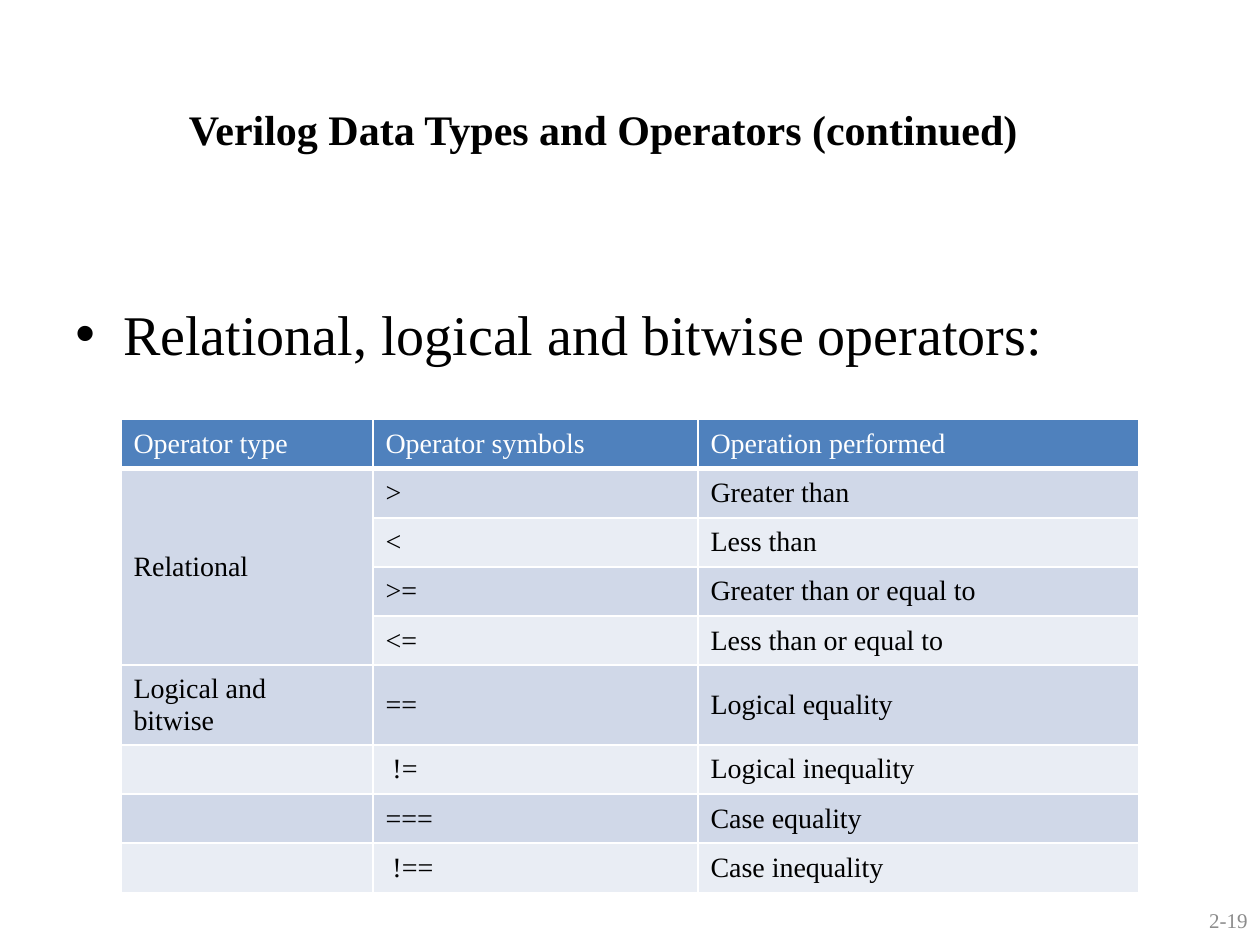
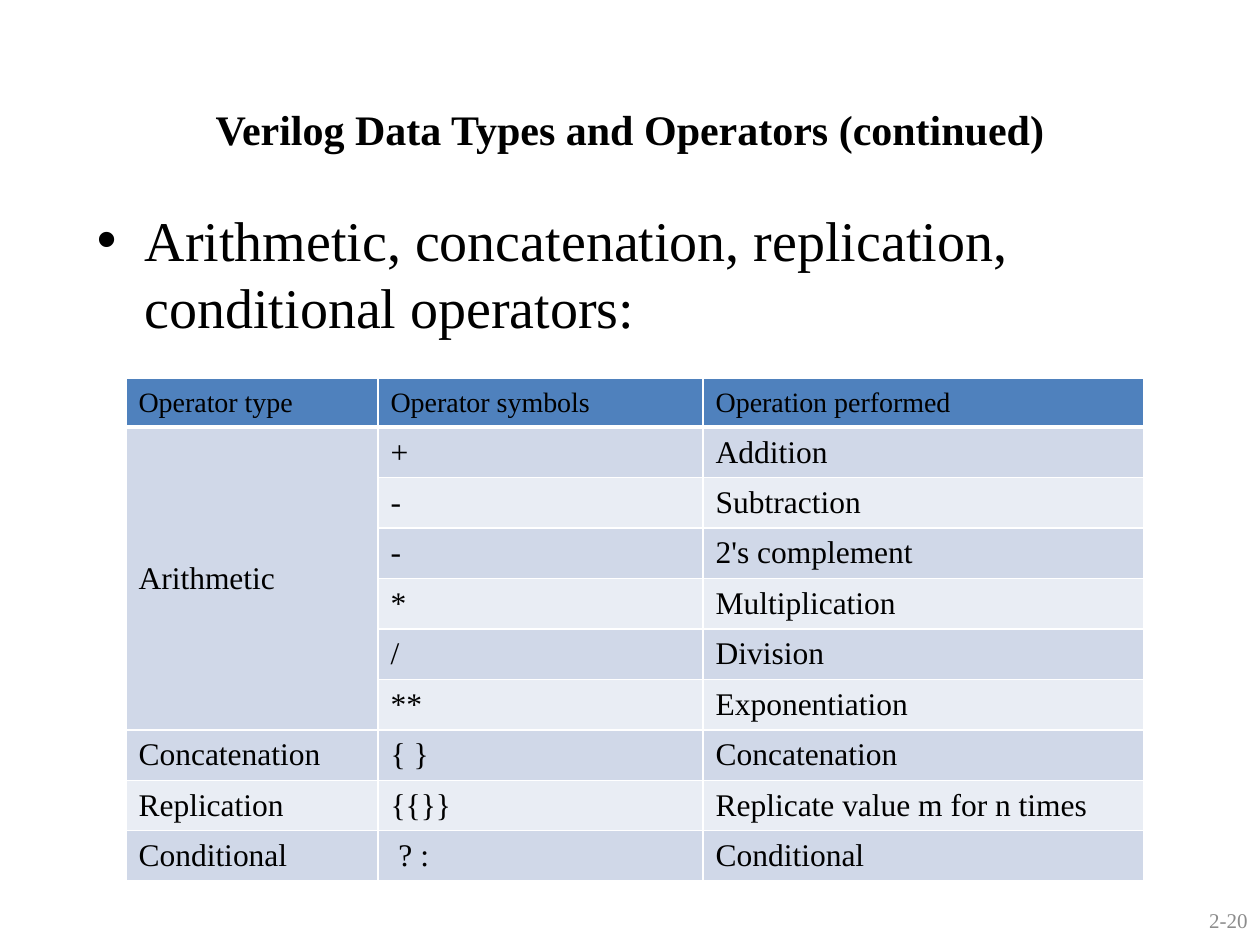
"""Build two slides of Verilog operator tables."""
from dataclasses import dataclass

from pptx import Presentation
from pptx.dml.color import RGBColor
from pptx.enum.text import MSO_ANCHOR, PP_ALIGN
from pptx.oxml.ns import qn
from pptx.slide import Slide
from pptx.table import _Cell
from pptx.text.text import TextFrame, _Paragraph
from pptx.util import Inches, Pt
from lxml.etree import Element, SubElement


@dataclass(frozen=True)
class Theme:
    font: str = "Times New Roman"
    ink: str = "000000"
    paper: str = "FFFFFF"
    muted: str = "8C8C8C"
    header: str = "4F81BD"
    bands: tuple[str, str] = ("D0D8E8", "E9EDF4")
    title_size: int = 24
    body_size: int = 32
    header_size: int = 16
    footer_size: int = 12
    thin_line: int = 1
    thick_line: int = 3


@dataclass(frozen=True)
class Area:
    left: float
    top: float
    width: float
    height: float


@dataclass(frozen=True)
class Group:
    name: str
    operators: list[tuple[str, str]]
    merged: bool = False


@dataclass(frozen=True)
class OperatorPage:
    title: str
    heading: str
    heading_area: Area
    number: str
    table_left: float
    table_top: float
    header_color: str
    cell_size: int
    groups: list[Group]


THEME = Theme()
TITLE_AREA = Area(0.5, 0.77, 9, 1.25)
NUMBER_AREA = Area(9.17, 7.1, 0.83, 0.4)
COLUMN_NAMES = ("Operator type", "Operator symbols", "Operation performed")
COLUMN_WIDTHS = (2, 2.58, 3.5)
ROW_HEIGHT = 0.39
TITLE = "Verilog Data Types and Operators (continued)"

PAGES = [
    OperatorPage(
        TITLE + "\t", "Relational, logical and bitwise operators:",
        Area(0.5, 2.33, 9, 4.8), "2-19", 0.96, 3.33, THEME.paper, 16,
        [
            Group("Relational", [
                (">", "Greater than"),
                ("<", "Less than"),
                (">=", "Greater than or equal to"),
                ("<=", "Less than or equal to"),
            ], merged=True),
            Group("Logical and\nbitwise", [
                ("==", "Logical equality"),
                ("\u00a0!=", "Logical inequality"),
                ("===", "Case equality"),
                ("\u00a0!==", "Case inequality"),
            ]),
        ],
    ),
    OperatorPage(
        TITLE, "Arithmetic, concatenation, replication, conditional operators:",
        Area(0.67, 1.58, 9, 4.8), "2-20", 1, 3, THEME.ink, 18,
        [
            Group("Arithmetic", [
                ("+", "Addition"),
                ("-", "Subtraction"),
                ("-", "2's complement"),
                ("*", "Multiplication"),
                ("/", "Division"),
                ("**", "Exponentiation"),
            ], merged=True),
            Group("Concatenation", [("{ }", "Concatenation")]),
            Group("Replication", [("{{}}", "Replicate value m for n times")]),
            Group("Conditional", [("\u00a0?\u00a0:", "Conditional")]),
        ],
    ),
]


def write(frame: TextFrame, text: str, size: int, color: str,
          align: PP_ALIGN = PP_ALIGN.LEFT, bold: bool = False) -> None:
    """Fill a text frame with evenly formatted paragraphs."""
    frame.text = text
    formats = {"name": THEME.font, "size": Pt(size), "bold": bold}
    for paragraph in frame.paragraphs:
        paragraph.alignment = align
        for font in (paragraph.font, *(span.font for span in paragraph.runs)):
            for attribute, value in formats.items():
                setattr(font, attribute, value)
            font.color.rgb = RGBColor.from_string(color)


def add_text(page: Slide, area: Area, text: str, size: int, color: str,
             align: PP_ALIGN = PP_ALIGN.LEFT, bold: bool = False,
             anchor: MSO_ANCHOR = MSO_ANCHOR.TOP) -> TextFrame:
    """Add a wrapping text box and return its frame."""
    box = page.shapes.add_textbox(Inches(area.left), Inches(area.top),
                                  Inches(area.width), Inches(area.height))
    frame = box.text_frame
    frame.word_wrap = True
    frame.vertical_anchor = anchor
    write(frame, text, size, color, align, bold)
    return frame


def add_bullet(paragraph: _Paragraph) -> None:
    """Give a paragraph a hanging bullet."""
    paragraph.space_before = Pt(THEME.body_size * 0.2)
    properties = paragraph._p.get_or_add_pPr()
    properties.set("marL", str(Inches(0.38)))
    properties.set("indent", str(Inches(-0.38)))
    bullet = Element(qn("a:buChar"), char="\u2022")
    font = Element(qn("a:buFont"), typeface="Arial")
    spacing = properties.find(qn("a:spcBef"))
    spacing.addnext(bullet)
    spacing.addnext(font)


def add_borders(cell: _Cell, bottom: int) -> None:
    """Draw the four cell borders in the paper colour."""
    properties = cell._tc.get_or_add_tcPr()
    widths = {"lnL": THEME.thin_line, "lnR": THEME.thin_line,
              "lnT": THEME.thin_line, "lnB": bottom}
    for position, (tag, width) in enumerate(widths.items()):
        line = Element(qn(f"a:{tag}"), w=str(Pt(width)))
        fill = SubElement(line, qn("a:solidFill"))
        SubElement(fill, qn("a:srgbClr"), val=THEME.paper)
        properties.insert(position, line)


def fill_cell(cell: _Cell, text: str, size: int, color: str, fill: str,
              bottom: int = THEME.thin_line) -> None:
    """Write and colour one table cell."""
    write(cell.text_frame, text, size, color)
    cell.vertical_anchor = MSO_ANCHOR.MIDDLE
    cell.fill.solid()
    cell.fill.fore_color.rgb = RGBColor.from_string(fill)
    add_borders(cell, bottom)


def add_operator_table(page: Slide, content: OperatorPage) -> None:
    """Add the table of operators with its merged group names."""
    rows = [(group.name if index == 0 else "", *operator)
            for group in content.groups
            for index, operator in enumerate(group.operators)]
    count = len(rows) + 1
    table = page.shapes.add_table(
        count, len(COLUMN_NAMES), Inches(content.table_left),
        Inches(content.table_top), Inches(sum(COLUMN_WIDTHS)),
        Inches(count * ROW_HEIGHT)).table
    table.first_row = table.horz_banding = False
    for column, width in zip(table.columns, COLUMN_WIDTHS):
        column.width = Inches(width)
    for row in table.rows:
        row.height = Inches(ROW_HEIGHT)
    for column, name in enumerate(COLUMN_NAMES):
        fill_cell(table.cell(0, column), name, THEME.header_size,
                  content.header_color, THEME.header, THEME.thick_line)
    for row, texts in enumerate(rows, 1):
        for column, text in enumerate(texts):
            fill_cell(table.cell(row, column), text, content.cell_size,
                      THEME.ink, THEME.bands[(row - 1) % 2])
    start = 1
    for group in content.groups:
        end = start + len(group.operators)
        if group.merged:
            table.cell(start, 0).merge(table.cell(end - 1, 0))
        start = end


def add_page(deck: Presentation, content: OperatorPage) -> None:
    """Add one slide with title, bullet, page number and table."""
    page = deck.slides.add_slide(deck.slide_layouts[6])
    add_text(page, TITLE_AREA, content.title, THEME.title_size, THEME.ink,
             PP_ALIGN.CENTER, bold=True)
    heading = add_text(page, content.heading_area, content.heading,
                       THEME.body_size, THEME.ink)
    add_bullet(heading.paragraphs[0])
    add_text(page, NUMBER_AREA, content.number, THEME.footer_size, THEME.muted,
             PP_ALIGN.RIGHT, anchor=MSO_ANCHOR.MIDDLE)
    add_operator_table(page, content)


def main() -> None:
    """Build and save the deck."""
    deck = Presentation()
    deck.slide_width = Inches(10)
    deck.slide_height = Inches(7.5)
    for content in PAGES:
        add_page(deck, content)
    deck.save("out.pptx")


main()
